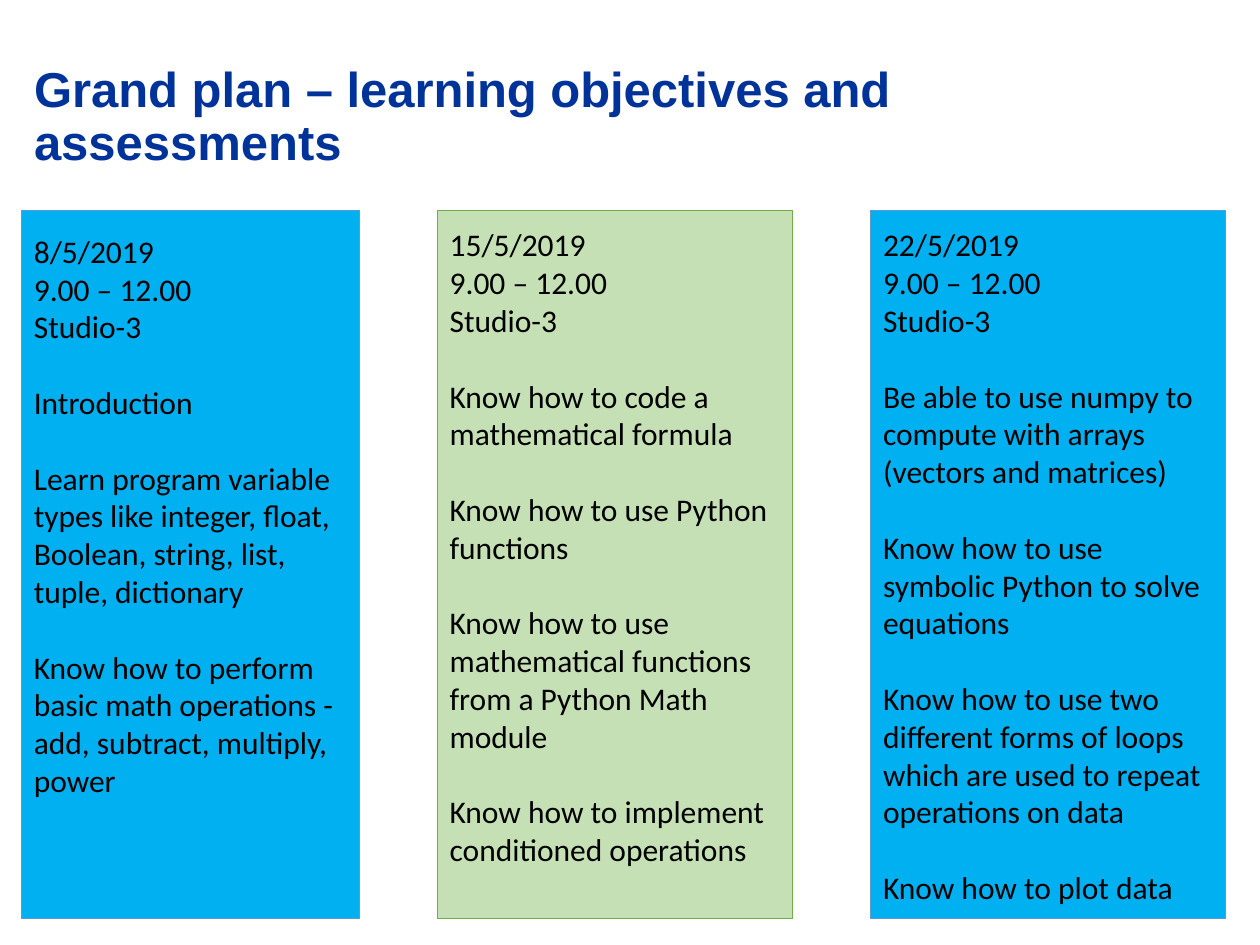
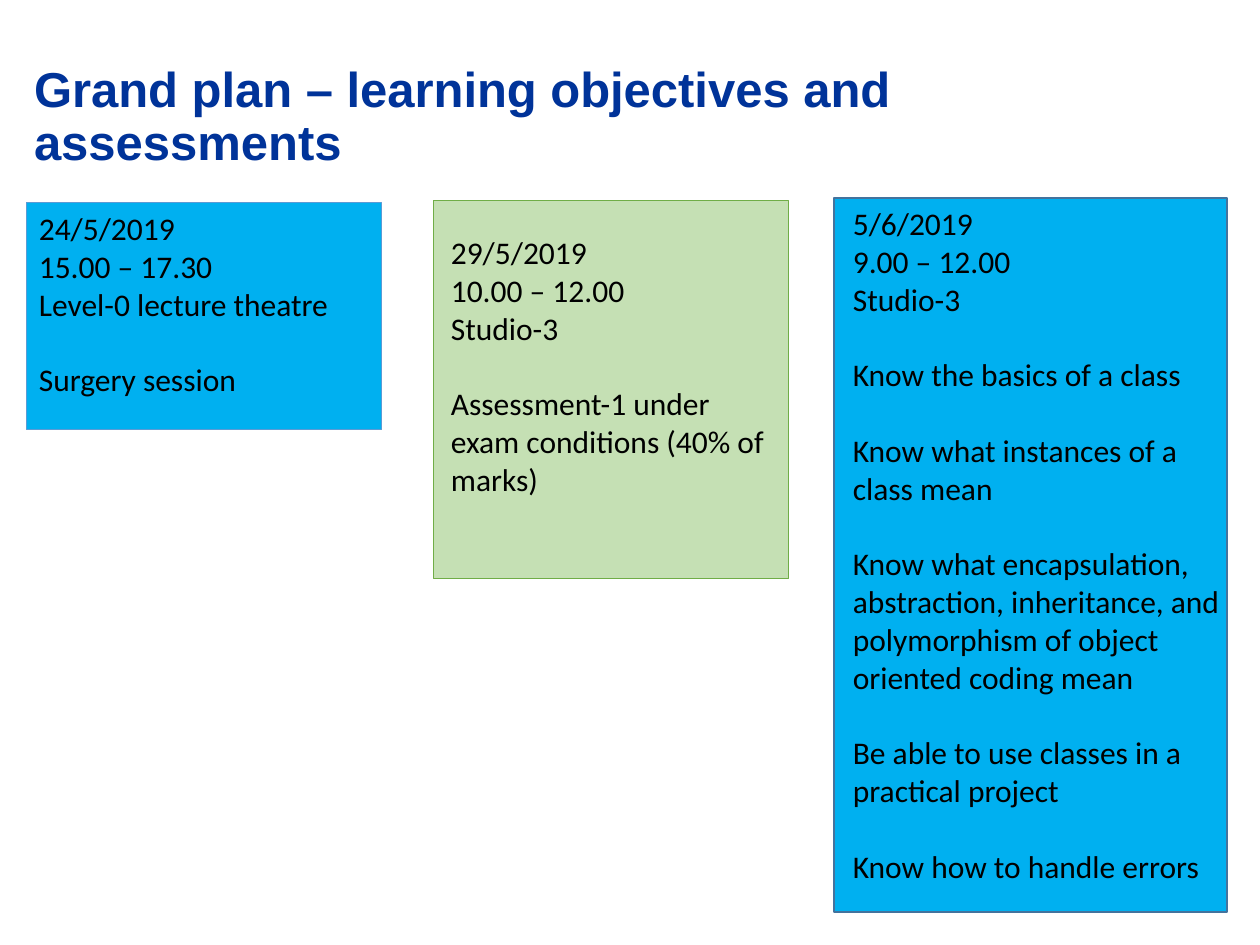
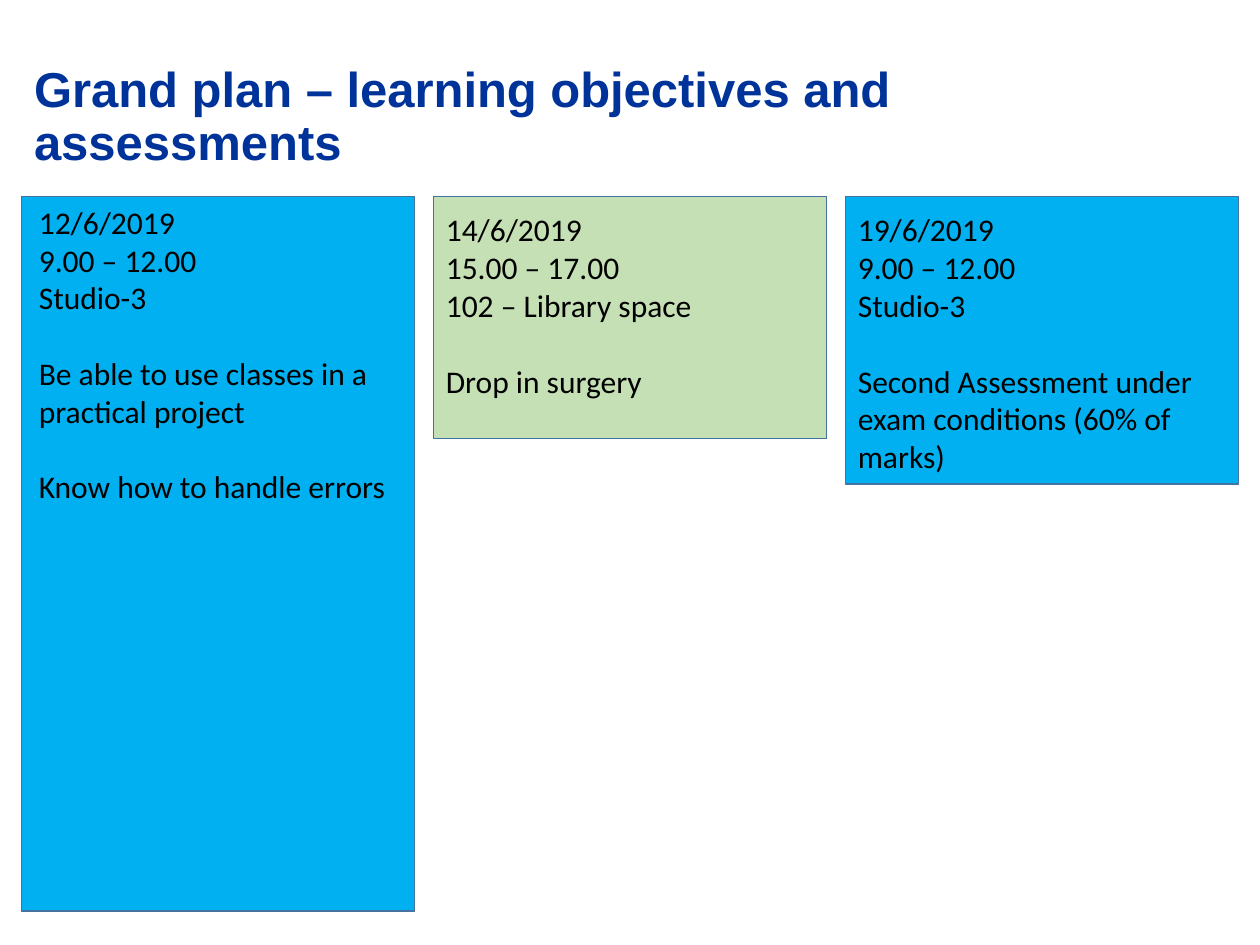
from pptx import Presentation
from pptx import util as u
from pptx.dml.color import RGBColor
from pptx.enum import shapes, text

BLUE, GREEN = "00B0F0", "C5E0B4"
THIN_BLUE, THIN_GREEN, DARK = ("5B9BD5", 0.5), ("70AD47", 0.5), ("43739E", 1)
TITLE = "Grand plan – learning objectives and assessments"
TITLE_FONT = {"name": "Arial", "size": u.Pt(28), "bold": True}
BODY_FONT = {"name": "Calibri", "size": u.Pt(18)}
BLANK_LINE = u.Pt(21.6)
MORNING = "9.00 – 12.00"
STUDIO = "Studio-3"


def colour(value):
    return RGBColor.from_string(value)


def inches(*lengths):
    return [u.Inches(length) for length in lengths]


class PlanDeck:
    """Holds the shared style and the slide being filled."""

    def __init__(self):
        self.deck = Presentation()
        self.deck.slide_width, self.deck.slide_height = inches(10, 7.5)
        self.page = None

    def format_font(self, font, values, shade):
        for name, value in values.items():
            setattr(font, name, value)
        font.color.rgb = colour(shade)

    def add_page(self, title):
        self.page = self.deck.slides.add_slide(self.deck.slide_layouts[5])
        box = self.page.shapes.title
        box.left, box.top, box.width, box.height = inches(0.17, 0.4, 9.15, 1.07)
        frame = box.text_frame
        frame.text = title
        frame.auto_size = text.MSO_AUTO_SIZE.NONE
        frame.vertical_anchor = text.MSO_ANCHOR.MIDDLE
        para = frame.paragraphs[0]
        para.alignment = text.PP_ALIGN.LEFT
        para.line_spacing = 0.9
        self.format_font(para.runs[0].font, TITLE_FONT, "003399")

    def add_panel(self, place, fill, line):
        panel = self.page.shapes.add_shape(shapes.MSO_SHAPE.RECTANGLE, *inches(*place))
        panel.shadow.inherit = False
        panel.fill.solid()
        panel.fill.fore_color.rgb = colour(fill)
        shade, width = line
        panel.line.color.rgb = colour(shade)
        panel.line.width = u.Pt(width)

    def add_session(self, place, heading, goals):
        """Heading lines stay together; each goal follows a line's gap."""
        box = self.page.shapes.add_textbox(*inches(*place))
        frame = box.text_frame
        frame.word_wrap = True
        frame.auto_size = text.MSO_AUTO_SIZE.SHAPE_TO_FIT_TEXT
        for index, line in enumerate([*heading, *goals]):
            para = frame.add_paragraph() if index else frame.paragraphs[0]
            if index >= len(heading):
                para.space_before = BLANK_LINE
            span = para.add_run()
            span.text = line
            self.format_font(span.font, BODY_FONT, "000000")


# Each session: panel place, fill, line, text place, heading, goals
PAGES = [
    # Programming basics
    [
        ((0.17, 1.67, 2.68, 5.62), BLUE, THIN_BLUE, (0.17, 1.79, 2.68, 4.95),
         ("8/5/2019", MORNING, STUDIO),
         ["Introduction",
          "Learn program variable types like integer, float, Boolean, string, "
          "list, tuple, dictionary",
          "Know how to perform basic math operations - add, subtract, "
          "multiply, power"]),
        ((3.47, 1.67, 2.82, 5.62), GREEN, THIN_GREEN, (3.47, 1.74, 2.82, 5.25),
         ("15/5/2019", MORNING, STUDIO),
         ["Know how to code a mathematical formula",
          "Know how to use Python functions",
          "Know how to use mathematical functions from a Python Math module",
          "Know how to implement conditioned operations"]),
        ((6.91, 1.67, 2.82, 5.62), BLUE, THIN_BLUE, (6.91, 1.74, 2.82, 5.55),
         ("22/5/2019", MORNING, STUDIO),
         ["Be able to use numpy to compute with arrays (vectors and matrices)",
          "Know how to use symbolic Python to solve equations",
          "Know how to use two different forms of loops which are used to "
          "repeat operations on data",
          "Know how to plot data"]),
    ],
    # First assessment and classes
    [
        ((0.21, 1.61, 2.82, 1.8), BLUE, THIN_BLUE, (0.21, 1.61, 2.82, 1.62),
         ("24/5/2019", "15.00 – 17.30", "Level-0 lecture theatre"),
         ["Surgery session"]),
        ((3.44, 1.59, 2.82, 3), GREEN, THIN_GREEN, (3.48, 1.8, 2.82, 2.22),
         ("29/5/2019", "10.00 – 12.00", STUDIO),
         ["Assessment-1 under exam conditions (40% of marks)"]),
        ((6.62, 1.57, 3.12, 5.67), BLUE, DARK, (6.67, 1.57, 3.12, 5.55),
         ("5/6/2019", MORNING, STUDIO),
         ["Know the basics of a class",
          "Know what instances of a class mean",
          "Know what encapsulation, abstraction, inheritance, and "
          "polymorphism of object oriented coding mean",
          "Be able to use classes in a practical project",
          "Know how to handle errors"]),
    ],
    # Practical project and second assessment
    [
        ((0.17, 1.56, 3.12, 5.67), BLUE, DARK, (0.21, 1.56, 3.12, 2.52),
         ("12/6/2019", MORNING, STUDIO),
         ["Be able to use classes in a practical project",
          "Know how to handle errors"]),
        ((3.44, 1.56, 3.12, 1.92), GREEN, DARK, (3.44, 1.62, 3.12, 1.62),
         ("14/6/2019", "15.00 – 17.00", "102 – Library space"),
         ["Drop in surgery"]),
        ((6.71, 1.56, 3.12, 2.28), BLUE, DARK, (6.71, 1.62, 3.12, 2.22),
         ("19/6/2019", MORNING, STUDIO),
         ["Second Assessment under exam conditions (60% of marks)"]),
    ],
]


def main():
    plan = PlanDeck()
    for sessions in PAGES:
        plan.add_page(TITLE)
        for panel_place, fill, line, text_place, heading, goals in sessions:
            plan.add_panel(panel_place, fill, line)
            plan.add_session(text_place, heading, goals)
    plan.deck.save("out.pptx")


if __name__ == "__main__":
    main()
